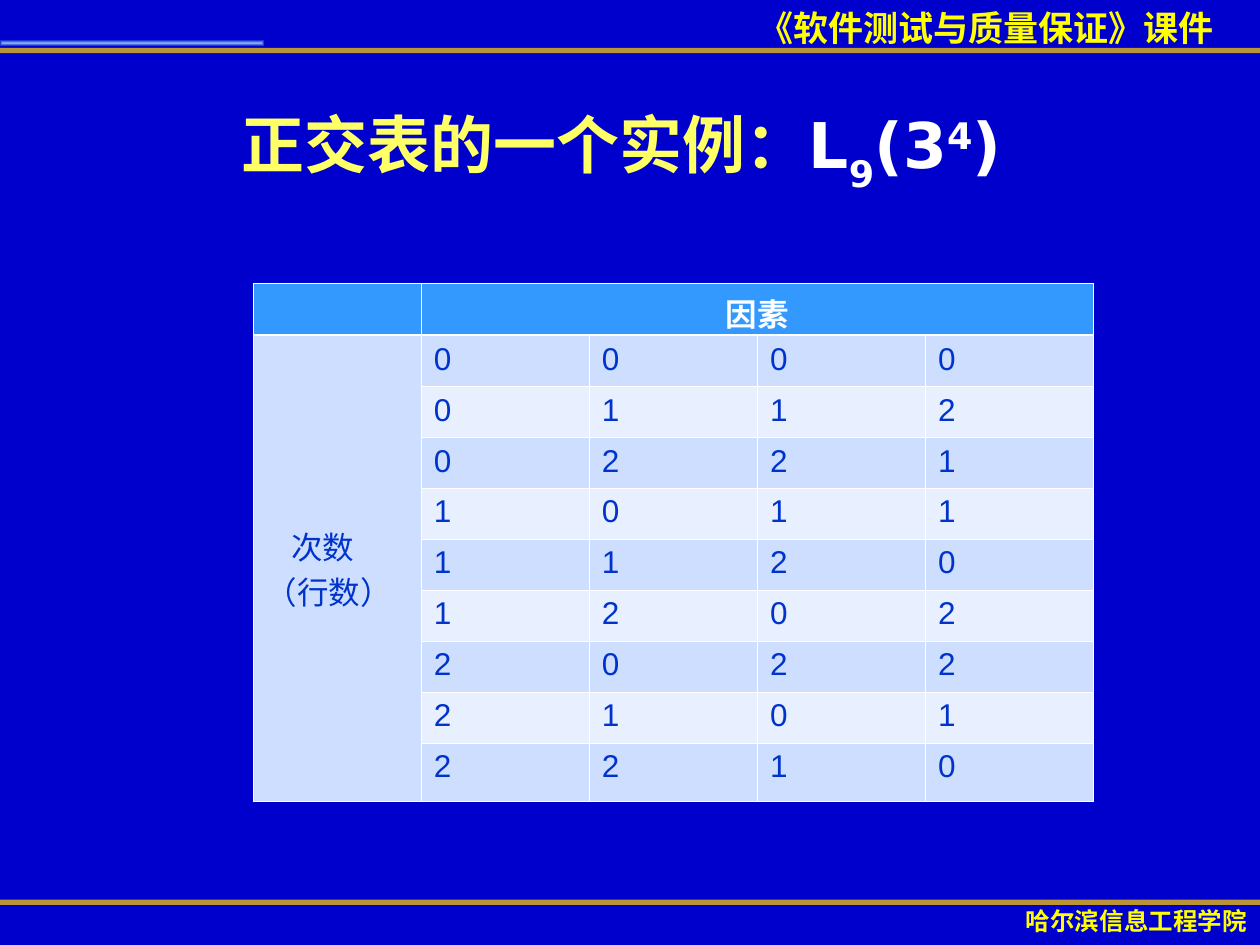
import itertools
from dataclasses import dataclass

import pptx
import pptx.dml.color
import pptx.enum.shapes
import pptx.enum.text
import pptx.oxml
import pptx.oxml.ns
import pptx.util
from lxml import etree

Inches = pptx.util.Inches
Align = pptx.enum.text.PP_ALIGN
Anchor = pptx.enum.text.MSO_ANCHOR
qn = pptx.oxml.ns.qn


@dataclass(frozen=True)
class Theme:
    back: str = "0000CC"
    gold: str = "FFCC00"
    yellow: str = "FFFF00"
    title: str = "FFFF66"
    white: str = "FFFFFF"
    ink: str = "0033CC"
    head: str = "3399FF"
    bands: tuple = ("CDDEFF", "E8EFFF")
    glow: tuple = (("C3EBFF", 82), ("66CCFF", 18))
    font: str = "Arial"
    math: str = "DejaVu Sans"
    big: int = 36
    mid: int = 20
    cell: int = 18
    small: int = 14
    thin: float = 0.45
    thick: float = 1.47


def color(code):
    return pptx.dml.color.RGBColor.from_string(code)


def write(para, text, size, tint, font=Theme.font, bold=False, shift=0):
    """Add a run; shift is the raise (+) or drop (-) in percent."""
    run = para.add_run()
    run.text = text
    run.font.size = pptx.util.Pt(size)
    run.font.name = font
    run.font.bold = bold
    run.font.color.rgb = color(tint)
    if shift:
        run.font._element.set("baseline", str(shift * 1000))


class Deck:
    def __init__(self, theme):
        self.theme = theme
        self.file = pptx.Presentation()
        self.file.slide_width, self.file.slide_height = Inches(10), Inches(7.5)
        self.slide = self.file.slides.add_slide(self.file.slide_layouts[5])
        fill = self.slide.background.fill
        fill.solid()
        fill.fore_color.rgb = color(theme.back)

    def rule(self, top, width):
        """Draw a clear gold line from the left edge."""
        line = self.slide.shapes.add_connector(
            pptx.enum.shapes.MSO_CONNECTOR.STRAIGHT,
            0, Inches(top), Inches(width), Inches(top))
        line.line.width = pptx.util.Pt(3)
        line.line.color.rgb = color(self.theme.gold)
        props = line._element.spPr
        tint = next(props.iter(qn("a:srgbClr")))
        etree.SubElement(tint, qn("a:alpha")).set("val", "72000")
        etree.SubElement(props, qn("a:effectLst"))

    def streak(self, left, top, width, height):
        """Draw a bar that fades from its centre."""
        bar = self.slide.shapes.add_shape(
            pptx.enum.shapes.MSO_SHAPE.RECTANGLE,
            Inches(left), Inches(top), Inches(width), Inches(height))
        bar.shadow.inherit = False
        bar.line.fill.background()
        stops = "".join(
            f'<a:gs pos="{place}"><a:srgbClr val="{code}">'
            f'<a:alpha val="{alpha * 1000}"/></a:srgbClr></a:gs>'
            for place, (code, alpha) in zip((0, 100000), self.theme.glow))
        fade = pptx.oxml.parse_xml(
            f'<a:gradFill {pptx.oxml.ns.nsdecls("a")}><a:gsLst>{stops}</a:gsLst>'
            '<a:path path="rect"><a:fillToRect l="50000" t="50000" '
            'r="50000" b="50000"/></a:path></a:gradFill>')
        bar._element.spPr.find(qn("a:prstGeom")).addnext(fade)

    def label(self, text, left, top, width, height, size, align):
        box = self.slide.shapes.add_textbox(
            Inches(left), Inches(top), Inches(width), Inches(height))
        box.text_frame.word_wrap = True
        para = box.text_frame.paragraphs[0]
        para.alignment = align
        write(para, text, size, self.theme.yellow, bold=True)

    def title(self, text, parts, left, top, width, height):
        """Fill the title: words, then a formula of (text, shift) parts."""
        theme, head = self.theme, self.slide.shapes.title
        head.left, head.top = Inches(left), Inches(top)
        head.width, head.height = Inches(width), Inches(height)
        frame = head.text_frame
        frame.auto_size = pptx.enum.text.MSO_AUTO_SIZE.NONE
        frame.vertical_anchor = Anchor.MIDDLE
        para = frame.paragraphs[0]
        para.alignment = Align.CENTER
        write(para, text, theme.big, theme.title, bold=True)
        for part, shift in parts:
            write(para, part, theme.big, theme.white,
                  font=theme.math, bold=True, shift=shift)

    def paint(self, cell, tint, above, below):
        """Give a cell its borders and fill."""
        props = cell._tc.get_or_add_tcPr()
        sides = {"L": self.theme.thin, "R": self.theme.thin, "T": above, "B": below}
        for side, width in sides.items():
            edge = etree.SubElement(props, qn(f"a:ln{side}"))
            edge.set("w", str(pptx.util.Pt(width)))
            fill = etree.SubElement(edge, qn("a:solidFill"))
            etree.SubElement(fill, qn("a:srgbClr")).set("val", self.theme.white)
        cell.fill.solid()
        cell.fill.fore_color.rgb = color(tint)

    def table(self, head, side, rows, left, top, width, heights):
        theme = self.theme
        count, cols = len(rows) + 1, len(rows[0]) + 1
        grid = self.slide.shapes.add_table(
            count, cols, Inches(left), Inches(top),
            Inches(width), Inches(sum(heights))).table
        grid.first_row = grid.horz_banding = False
        for row, height in zip(grid.rows, heights):
            row.height = Inches(height)

        # Fills and borders: a heavy line under the head row
        for r, c in itertools.product(range(count), range(cols)):
            band = theme.bands[0 if c == 0 else (r - 1) % 2]
            self.paint(grid.cell(r, c), theme.head if r == 0 else band,
                       theme.thick if r == 1 else theme.thin,
                       theme.thick if r == 0 else theme.thin)

        # Head cell across all factors
        grid.cell(0, 1).merge(grid.cell(0, cols - 1))
        para = grid.cell(0, 1).text_frame.paragraphs[0]
        para.alignment = Align.CENTER
        write(para, head, theme.cell, theme.white, bold=True)

        # Side cell down all runs, its first line indented
        grid.cell(1, 0).merge(grid.cell(count - 1, 0))
        cell = grid.cell(1, 0)
        cell.vertical_anchor = Anchor.MIDDLE
        frame = cell.text_frame
        frame.paragraphs[0]._p.get_or_add_pPr().set("indent", str(Inches(0.2)))
        write(frame.paragraphs[0], side[0], theme.cell, theme.ink)
        for line in side[1:]:
            write(frame.add_paragraph(), line, theme.cell, theme.ink)

        # Levels
        for r, row in enumerate(rows, 1):
            for c, level in enumerate(row, 1):
                para = grid.cell(r, c).text_frame.paragraphs[0]
                write(para, str(level), theme.cell, theme.ink)


def main():
    theme = Theme()
    deck = Deck(theme)

    # Frame of the course slides
    deck.rule(0.4, 10.04)
    deck.rule(7.16, 10)
    deck.streak(0, 0.32, 2.09, 0.04)
    deck.label("《软件测试与质量保证》课件", 5.92, 0, 5.15, 0.44, theme.mid, Align.LEFT)
    deck.label("哈尔滨信息工程学院", 7.84, 7.14, 2.36, 0.34, theme.small, Align.CENTER)

    # Title with the formula
    deck.title("正交表的一个实例：",
               [("L", 0), ("9", -30), ("(3", 0), ("4", 30), (") ", 0)],
               0.35, 0.68, 9.34, 1.02)

    # L9 array: two free factors, two more from their sums modulo 3
    levels = [(a, b, (a + b) % 3, (a + 2 * b) % 3)
              for a, b in itertools.product(range(3), repeat=2)]
    deck.table("因素", ("次数", "（行数）"), levels,
               2.01, 2.25, 6.67, [0.41] + [0.405] * 8 + [0.46])

    deck.file.save("out.pptx")


if __name__ == "__main__":
    main()
